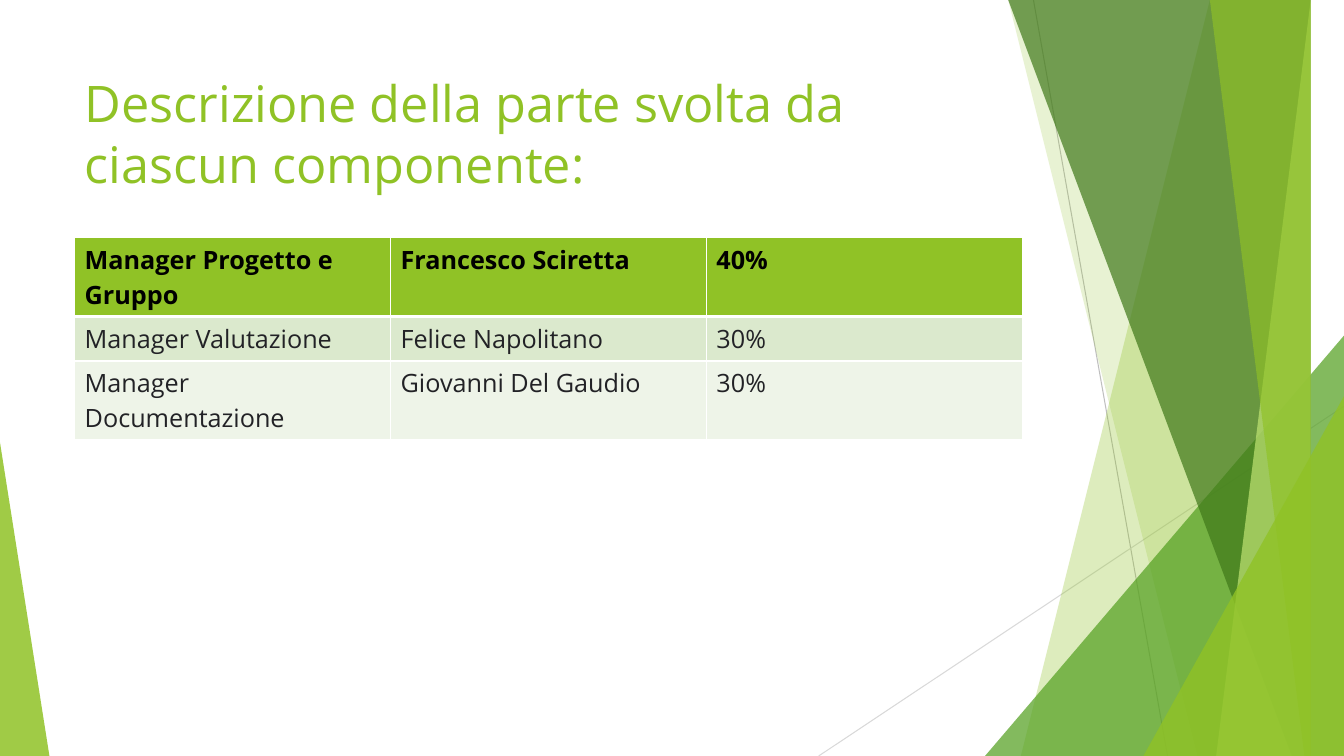
from lxml.etree import SubElement
from pptx import Presentation
from pptx.dml.color import RGBColor
from pptx.enum.shapes import MSO_CONNECTOR, MSO_SHAPE
from pptx.enum.text import MSO_ANCHOR, PP_ALIGN
from pptx.oxml.ns import qn
from pptx.util import Inches, Pt

# Content
TITLE = "Descrizione della parte svolta da ciascun componente:"
ROLES = [
    ("Manager Progetto e Gruppo", "Francesco Sciretta", "40%"),
    ("Manager Valutazione", "Felice Napolitano", "30%"),
    ("Manager Documentazione", "Giovanni Del Gaudio", "30%"),
]

# Look
FONT = "Open Sans"
GREEN, WHITE, BLACK, INK = "90C226", "FFFFFF", "000000", "222226"
ROW_FILLS = [GREEN, "DBE9CD", "EEF4E8"]
WIDTH, HEIGHT = 13.33, 7.5
LEFT, CONTENT_WIDTH = 0.74, 9.4

# Decoration, back to front
LINES = [((10.25, 0), (11.58, HEIGHT), "BFBFBF"),
         ((WIDTH, 4.03), (8.12, HEIGHT), "D9D9D9")]
# Bands reach the right edge: top x, bottom x, colour, opacity
# Triangles: left, top, width, apex, colour, opacity
DECOR = [
    ("band", 12.28, 10.04, GREEN, 30),
    ("band", 10.5, 11.83, GREEN, 20),
    ("triangle", 9.77, 3.33, 3.56, 1, "54A021", 72),
    ("band", 10.21, 12.91, "3F7819", 70),
    ("band", 13.03, 11.92, "C0E474", 70),
    ("band", 11.96, 13.18, GREEN, 65),
    ("triangle", 11.34, 3.93, 1.99, 1, GREEN, 80),
    ("triangle", 0, 4.39, 0.49, 0, GREEN, 85),
]


def color(value):
    return RGBColor.from_string(value)


def set_font(paragraph, size, value, bold=False):
    paragraph.font.name = FONT
    paragraph.font.size = Pt(size)
    paragraph.font.bold = bold
    paragraph.font.color.rgb = color(value)


def paint(shape, value, opacity):
    shape.shadow.inherit = False
    shape.line.fill.background()
    shape.fill.solid()
    shape.fill.fore_color.rgb = color(value)
    tint = shape.element.spPr.find(qn("a:solidFill"))[0]
    SubElement(tint, qn("a:alpha"), val=str(opacity * 1000))


def add_line(page, start, end, value):
    line = page.shapes.add_connector(
        MSO_CONNECTOR.STRAIGHT, *map(Inches, start + end))
    line.line.color.rgb = color(value)
    line.line.width = Pt(0.75)
    SubElement(line.element.spPr, qn("a:effectLst"))


def add_band(page, top_x, bottom_x, value, opacity):
    builder = page.shapes.build_freeform(top_x, -0.01, scale=Inches(1))
    builder.add_line_segments(
        [(WIDTH, -0.01), (WIDTH, HEIGHT), (bottom_x, HEIGHT)], close=True)
    paint(builder.convert_to_shape(), value, opacity)


def add_triangle(page, left, top, width, apex, value, opacity):
    triangle = page.shapes.add_shape(
        MSO_SHAPE.ISOSCELES_TRIANGLE,
        *map(Inches, (left, top, width, HEIGHT - top)))
    triangle.adjustments[0] = apex
    paint(triangle, value, opacity)


def set_borders(cell, bottom_width):
    properties = cell._tc.get_or_add_tcPr()
    widths = {"lnL": 1, "lnR": 1, "lnT": 1, "lnB": bottom_width}
    for index, (side, width) in enumerate(widths.items()):
        border = properties.makeelement(qn(f"a:{side}"), {"w": str(Pt(width))})
        fill = SubElement(border, qn("a:solidFill"))
        SubElement(fill, qn("a:srgbClr"), val=WHITE)
        properties.insert(index, border)


deck = Presentation()
deck.slide_width, deck.slide_height = Inches(WIDTH), Inches(HEIGHT)
page = deck.slides.add_slide(deck.slide_layouts[5])
page.background.fill.solid()
page.background.fill.fore_color.rgb = color(WHITE)

# Decoration
for start, end, value in LINES:
    add_line(page, start, end, value)
for kind, *values in DECOR:
    (add_band if kind == "band" else add_triangle)(page, *values)

# Title, in front of the decoration
title = page.shapes.title
title.element.getparent().append(title.element)
title.left, title.top = Inches(LEFT), Inches(0.67)
title.width, title.height = Inches(CONTENT_WIDTH), Inches(1.44)
title.text_frame.text = TITLE
title.text_frame.word_wrap = True
title.text_frame.vertical_anchor = MSO_ANCHOR.TOP
heading = title.text_frame.paragraphs[0]
heading.alignment = PP_ALIGN.LEFT
set_font(heading, 36, GREEN)

# Table of roles
table = page.shapes.add_table(
    len(ROLES), len(ROLES[0]), Inches(LEFT), Inches(2.36),
    Inches(CONTENT_WIDTH), Inches(0.41 * len(ROLES))).table
for row, (texts, fill) in enumerate(zip(ROLES, ROW_FILLS)):
    header = row == 0
    for column, text in enumerate(texts):
        cell = table.cell(row, column)
        cell.text = text
        set_font(cell.text_frame.paragraphs[0], 18,
                 BLACK if header else INK, bold=header)
        cell.fill.solid()
        cell.fill.fore_color.rgb = color(fill)
        set_borders(cell, 3 if header else 1)

deck.save("out.pptx")
